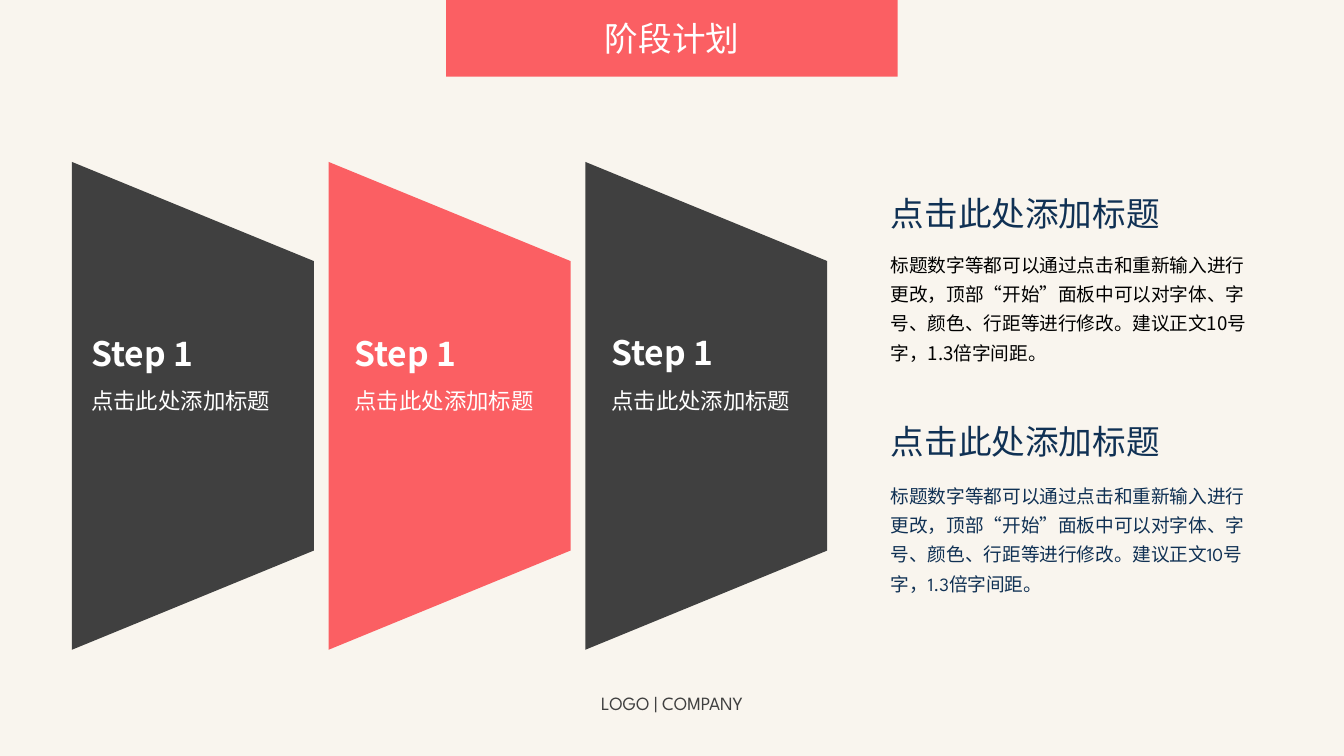
"""Build a phase plan slide with three step panels and two text sections."""
from dataclasses import dataclass

from lxml import etree
from pptx import Presentation
from pptx.dml.color import RGBColor
from pptx.enum.shapes import MSO_SHAPE
from pptx.enum.text import MSO_ANCHOR, MSO_AUTO_SIZE, PP_ALIGN
from pptx.oxml.ns import qn
from pptx.util import Inches, Pt


@dataclass(frozen=True)
class Theme:
    """Colours, fonts and type sizes of the slide."""
    paper: str = "F9F5EE"
    coral: str = "FB5F63"
    charcoal: str = "404040"
    navy: str = "103154"
    white: str = "FFFFFF"
    black: str = "000000"
    display: str = "League Spartan"
    cjk: str = "Noto Sans CJK SC"
    heading: int = 18
    label: int = 12
    body: int = 10


@dataclass(frozen=True)
class Box:
    """A place on the grid, in columns and rows."""
    col: float
    row: float
    cols: float
    rows: float


@dataclass(frozen=True)
class Style:
    """The look of one piece of text."""
    size: int
    color: str
    font: str
    bold: bool = False
    align: PP_ALIGN = PP_ALIGN.LEFT
    spacing: float = 1.0


@dataclass(frozen=True)
class Step:
    """One panel with its fill and the places of its texts."""
    fill: str
    text_col: float
    name_row: float


@dataclass(frozen=True)
class Section:
    """A heading with a paragraph below it."""
    heading_row: float
    body_row: float
    body_color: str
    body_font: str


THEME = Theme()
COLUMNS, ROWS = 100, 56.25
PROMPT = "点击此处添加标题"
BODY = ("标题数字等都可以通过点击和重新输入进行更改，顶部“开始”面板中可以对字体、"
        "字号、颜色、行距等进行修改。建议正文10号字，1.3倍字间距。")
STEPS = (
    Step(THEME.charcoal, 5.8, 24.3),
    Step(THEME.coral, 25.4, 24.3),
    Step(THEME.charcoal, 44.5, 24.2),
)
SECTIONS = (
    Section(13.9, 17.9, THEME.black, THEME.cjk),
    Section(30.8, 35.1, THEME.navy, THEME.display),
)
PANEL = Box(-3.8, 21.2, 36.3, 18)
PANEL_PITCH = 19.1
SECTION_COL = 65.3

deck = Presentation()
deck.slide_width = Inches(10)
deck.slide_height = deck.slide_width * 9 // 16
slide = deck.slides.add_slide(deck.slide_layouts[5])


def place(box: Box) -> tuple[int, int, int, int]:
    """Turn a grid box into left, top, width and height."""
    column, row = deck.slide_width / COLUMNS, deck.slide_height / ROWS
    return (round(box.col * column), round(box.row * row),
            round(box.cols * column), round(box.rows * row))


def paint(shape, color: str) -> None:
    """Give a shape a plain fill without a line."""
    shape.fill.solid()
    shape.fill.fore_color.rgb = RGBColor.from_string(color)
    shape.line.fill.background()


def write(frame, text: str, style: Style) -> None:
    """Put one styled paragraph into a text frame."""
    frame.text = text
    paragraph = frame.paragraphs[0]
    paragraph.alignment = style.align
    paragraph.line_spacing = style.spacing
    run = paragraph.runs[0]
    run.font.size = Pt(style.size)
    run.font.bold = style.bold
    run.font.name = style.font
    run.font.color.rgb = RGBColor.from_string(style.color)
    east_asian = etree.Element(qn("a:ea"), typeface=THEME.cjk)
    run.font._element.find(qn("a:latin")).addnext(east_asian)


def add_text(box: Box, text: str, style: Style, wrap: bool = False) -> None:
    """Add a text box that grows with its text."""
    frame = slide.shapes.add_textbox(*place(box)).text_frame
    frame.word_wrap = wrap
    frame.auto_size = MSO_AUTO_SIZE.SHAPE_TO_FIT_TEXT
    write(frame, text, style)


def add_step(index: int, step: Step) -> None:
    """Draw a sideways trapezoid with its name and label."""
    box = Box(PANEL.col + index * PANEL_PITCH, PANEL.row, PANEL.cols, PANEL.rows)
    panel = slide.shapes.add_shape(MSO_SHAPE.TRAPEZOID, *place(box))
    panel.rotation = 90
    panel.adjustments[0] = 0.41
    panel.shadow.inherit = False
    paint(panel, step.fill)
    add_text(Box(step.text_col, step.name_row, 9.6, 4), "Step 1",
             Style(THEME.heading, THEME.white, THEME.cjk, bold=True))
    add_text(Box(step.text_col, 28.3, 15.5, 3), PROMPT,
             Style(THEME.label, THEME.white, THEME.cjk))


def add_section(section: Section) -> None:
    """Write a heading and its paragraph."""
    add_text(Box(SECTION_COL, section.heading_row, 22.2, 4), PROMPT,
             Style(THEME.heading, THEME.navy, THEME.display))
    add_text(Box(SECTION_COL, section.body_row, 28.6, 9.7), BODY,
             Style(THEME.body, section.body_color, section.body_font, spacing=1.3),
             wrap=True)


def add_title(text: str) -> None:
    """Turn the title placeholder into the banner at the top."""
    title = slide.shapes.title
    title.left, title.top, title.width, title.height = place(Box(33.2, 0, 33.6, 5.7))
    paint(title, THEME.coral)
    title.text_frame.auto_size = MSO_AUTO_SIZE.NONE
    title.text_frame.vertical_anchor = MSO_ANCHOR.MIDDLE
    write(title.text_frame, text,
          Style(THEME.heading, THEME.white, THEME.display, align=PP_ALIGN.CENTER))


slide.background.fill.solid()
slide.background.fill.fore_color.rgb = RGBColor.from_string(THEME.paper)
add_title("阶段计划")
for number, panel_step in enumerate(STEPS):
    add_step(number, panel_step)
for text_section in SECTIONS:
    add_section(text_section)
add_text(Box(42.35, 51, 15.3, 2.7), "LOGO | COMPANY",
         Style(THEME.body, THEME.charcoal, THEME.display, align=PP_ALIGN.CENTER))
deck.save("out.pptx")
